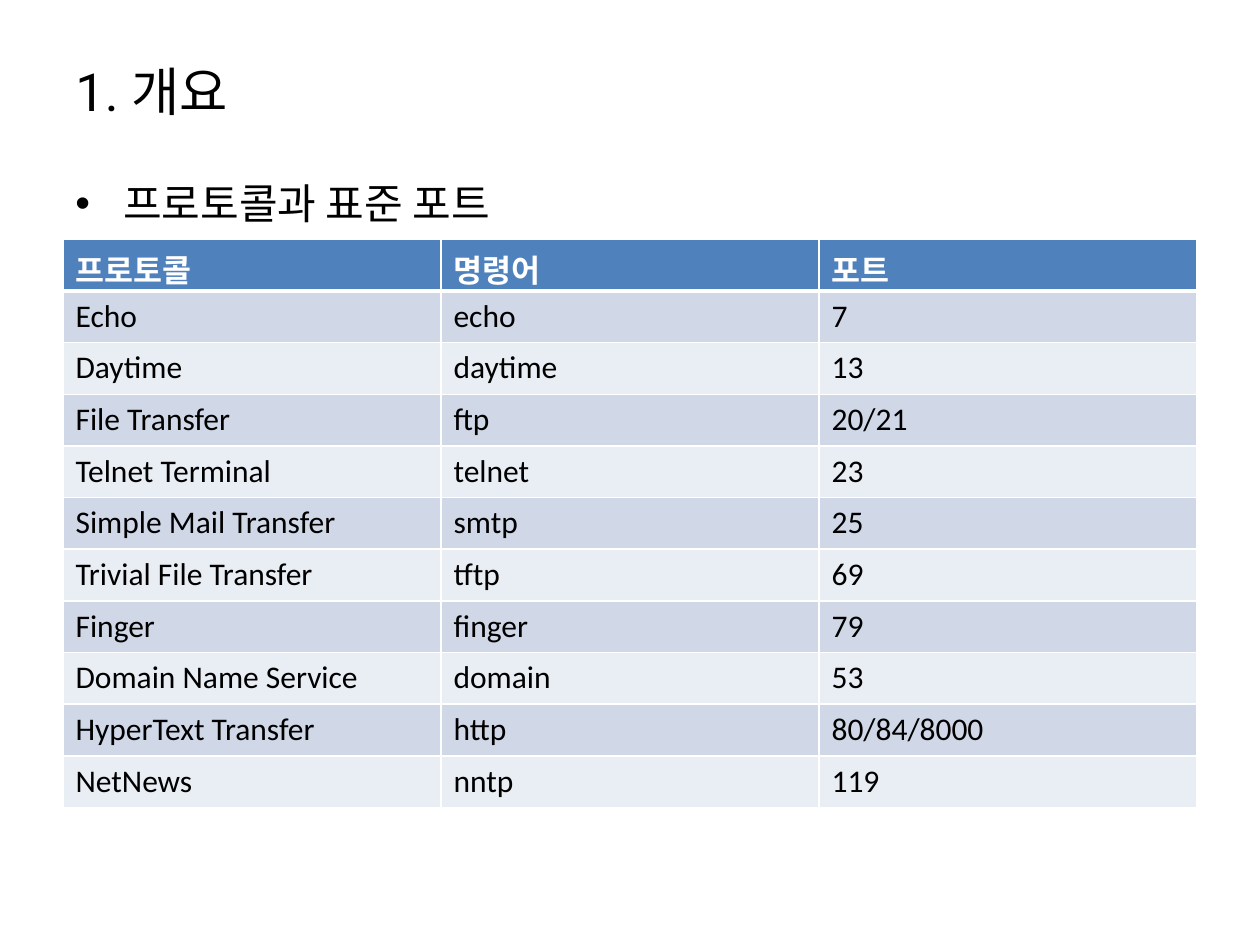
from lxml import etree
from pptx import Presentation
from pptx import util as u
from pptx.dml.color import RGBColor
from pptx.enum import text
from pptx.oxml import ns

HEADING = "1. 개요"
TOPIC = "프로토콜과 표준 포트"
PROTOCOLS = [
    ("프로토콜", "명령어", "포트"),
    ("Echo", "echo", "7"),
    ("Daytime", "daytime", "13"),
    ("File Transfer", "ftp", "20/21"),
    ("Telnet Terminal", "telnet", "23"),
    ("Simple Mail Transfer", "smtp", "25"),
    ("Trivial File Transfer", "tftp", "69"),
    ("Finger", "finger", "79"),
    ("Domain Name Service", "domain", "53"),
    ("HyperText Transfer", "http", "80/84/8000"),
    ("NetNews", "nntp", "119"),
]
COLORS = {"header": "4F81BD", "odd": "D0D8E8", "even": "E9EDF4",
          "white": "FFFFFF", "ink": "000000"}
WIDTH, HEIGHT = 10, 7.5
MARGIN = WIDTH * 0.05
CONTENT_WIDTH = WIDTH - 2 * MARGIN
ROW_HEIGHT = 0.41
INDENT = 0.38


def write(paragraph, words, size, font, color, bold=False):
    run = paragraph.add_run()
    run.text = words
    run.font.size = u.Pt(size)
    run.font.name = font
    run.font.bold = bold
    run.font.color.rgb = RGBColor.from_string(COLORS[color])


def add_text(slide, top, height, words, size, anchor):
    box = slide.shapes.add_textbox(u.Inches(MARGIN), u.Inches(top),
                                   u.Inches(CONTENT_WIDTH), u.Inches(height))
    box.text_frame.word_wrap = True
    box.text_frame.vertical_anchor = anchor
    paragraph = box.text_frame.paragraphs[0]
    write(paragraph, words, size, "Roboto", "ink")
    return paragraph


def add_bullet(paragraph, size):
    paragraph.space_before = u.Pt(size * 0.2)
    properties = paragraph._p.get_or_add_pPr()
    properties.set("marL", str(u.Inches(INDENT)))
    properties.set("indent", str(-u.Inches(INDENT)))
    etree.SubElement(properties, ns.qn("a:buFont"), typeface="Arial")
    etree.SubElement(properties, ns.qn("a:buChar"), char="•")


def add_borders(cell, bottom):
    properties = cell._tc.get_or_add_tcPr()
    for position, (side, points) in enumerate(
            [("L", 1), ("R", 1), ("T", 1), ("B", bottom)]):
        line = etree.Element(ns.qn(f"a:ln{side}"), w=str(u.Pt(points)))
        fill = etree.SubElement(line, ns.qn("a:solidFill"))
        etree.SubElement(fill, ns.qn("a:srgbClr"), val=COLORS["white"])
        properties.insert(position, line)


def add_protocols(slide, top):
    rows, columns = len(PROTOCOLS), len(PROTOCOLS[0])
    table = slide.shapes.add_table(
        rows, columns, u.Inches(MARGIN), u.Inches(top),
        u.Inches(CONTENT_WIDTH), u.Inches(ROW_HEIGHT * rows)).table
    for r, protocol in enumerate(PROTOCOLS):
        header = r == 0
        band = "header" if header else ("even", "odd")[r % 2]
        for c, words in enumerate(protocol):
            cell = table.cell(r, c)
            cell.fill.solid()
            cell.fill.fore_color.rgb = RGBColor.from_string(COLORS[band])
            add_borders(cell, 3 if header else 1)
            write(cell.text_frame.paragraphs[0], words, 18, "Calibri",
                  "white" if header else "ink", header)


def main():
    deck = Presentation()
    deck.slide_width, deck.slide_height = u.Inches(WIDTH), u.Inches(HEIGHT)
    slide = deck.slides.add_slide(deck.slide_layouts[6])
    add_text(slide, HEIGHT * 0.04, 0.84, HEADING, 30, text.MSO_ANCHOR.MIDDLE)
    add_protocols(slide, 1.9)
    topic = add_text(slide, 1.36, 5.34, TOPIC, 24, text.MSO_ANCHOR.TOP)
    add_bullet(topic, 24)
    deck.save("out.pptx")


if __name__ == "__main__":
    main()
